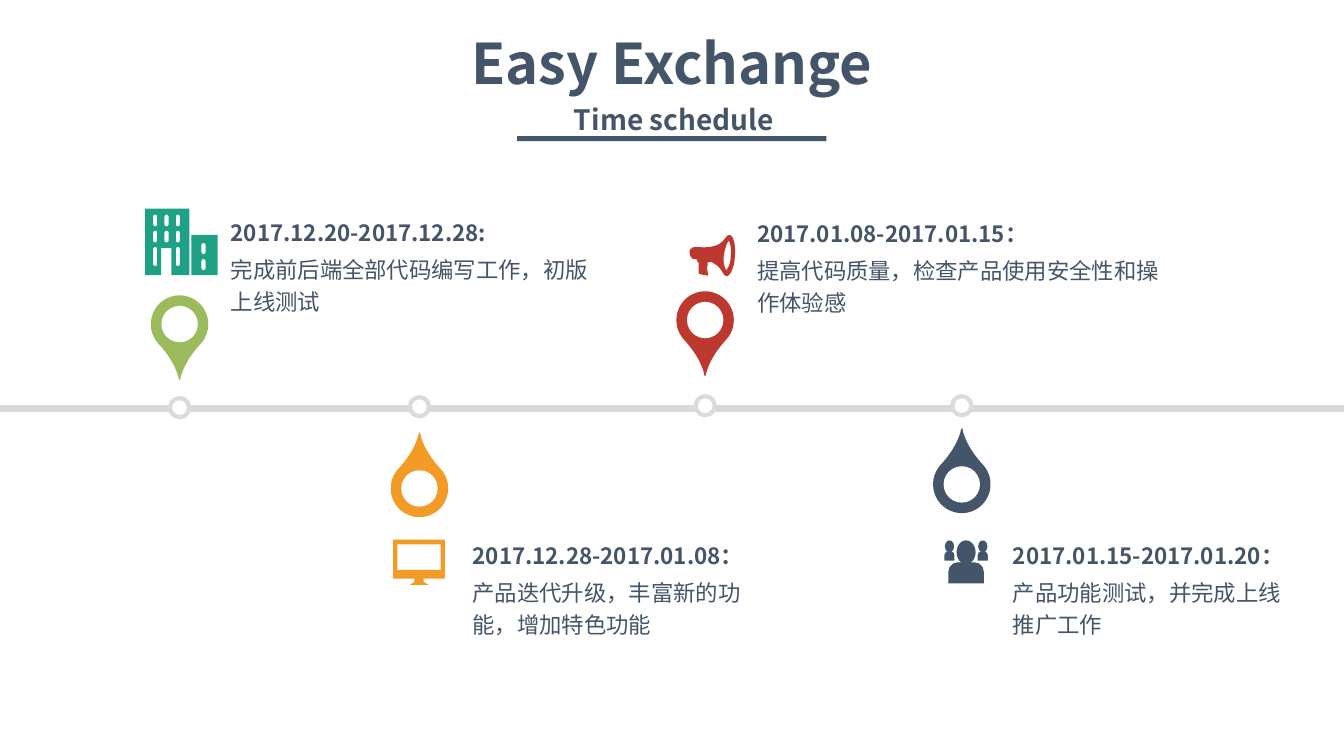
from dataclasses import dataclass
from itertools import product
from math import cos, pi, sin

from lxml.etree import SubElement
from pptx import Presentation
from pptx.dml.color import RGBColor
from pptx.enum.shapes import MSO_SHAPE as Kind
from pptx.enum.text import MSO_ANCHOR as Anchor
from pptx.enum.text import MSO_AUTO_SIZE as Fit
from pptx.enum.text import PP_ALIGN as Align
from pptx.oxml.ns import qn
from pptx.util import Pt


@dataclass(frozen=True)
class Theme:
    font: str = "Noto Sans CJK SC"
    ink: str = "445469"
    white: str = "FFFFFF"
    rail: str = "D9D9D9"
    ring: str = "DBDBDB"
    lime: str = "9BBB5C"
    teal: str = "1EA185"
    gold: str = "F29B26"
    red: str = "BD392F"
    title: float = 40
    sub: float = 20
    body: float = 16


T = Theme()

STOPS = [
    (128.3, 291.2, 211, False, T.lime, (155.5, 147.6, 280.8),
     "2017.12.20-2017.12.28:", "完成前后端全部代码编写工作，初版上线测试"),
    (299.6, 290.5, 308.9, True, T.gold, (328.3, 378.7, 225.4),
     "2017.12.28-2017.01.08：", "产品迭代升级，丰富新的功能，增加特色功能"),
    (503.7, 289.8, 208.1, False, T.red, (531.4, 148.3, 310.3),
     "2017.01.08-2017.01.15：", "提高代码质量，检查产品使用安全性和操作体验感"),
    (687, 289.8, 306, True, T.ink, (714.2, 378.7, 224.6),
     "2017.01.15-2017.01.20：", "产品功能测试，并完成上线推广工作"),
]

HORN = [
    (32.4, 15.1), (33.1, 7.9, 31.7, 0.7, 28.8, 0),
    (23.8, 0, 26.6, 10.8, 4.3, 8.6), (2.2, 8.6, 0, 10.1, 0, 12.2),
    (0, 14.4, 1.4, 17.3, 3.6, 17.3), (5, 17.3),
    (5.8, 20.2, 7.2, 19.4, 6.5, 20.9), (6.5, 22.3, 6.5, 25.2, 6.5, 25.9),
    (6.5, 26.6, 6.5, 28.1, 7.9, 28.1), (7.9, 28.1, 10.8, 28.8, 12.2, 28.8),
    (13, 29.5, 13.7, 28.8, 13, 27.4), (13.7, 27.4, 12.2, 25.9, 13, 25.2),
    (12.2, 24.5, 13, 21.6, 13, 20.9), (12.2, 19.4, 14.4, 19.4, 15.8, 19.4),
    (24.5, 23.8, 23, 28.8, 26.6, 29.5), (28.8, 29.5, 32.4, 23, 32.4, 15.1),
]
MOUTH = [
    (26.6, 25.2), (25.9, 25.2, 23.8, 20.9, 24.5, 15.1),
    (25.2, 9.4, 27.4, 4.3, 28.1, 4.3), (28.8, 5, 30.2, 9.4, 29.5, 15.1),
    (29.5, 21.6, 26.6, 24.5, 26.6, 25.2),
]


def paint(shape, fill, line=None, width=0):
    shape.shadow.inherit = False
    shape.fill.solid()
    shape.fill.fore_color.rgb = RGBColor.from_string(fill)
    if line:
        shape.line.color.rgb = RGBColor.from_string(line)
        shape.line.width = Pt(width)
    else:
        shape.line.fill.background()
    return shape


def block(shapes, kind, box, fill, line=None, width=0):
    return paint(shapes.add_shape(kind, *map(Pt, box)), fill, line, width)


def disc(shapes, x, y, r, fill, line=None, width=0):
    return block(shapes, Kind.OVAL, (x - r, y - r, 2 * r, 2 * r), fill, line, width)


def arc(x, y, r, start, end, steps=16):
    turns = [start + (end - start) * i / steps for i in range(steps + 1)]
    return [(x + r * cos(a), y + r * sin(a)) for a in turns]


def trace(start, *parts, steps=10):
    dots = [start]
    for part in parts:
        if len(part) == 2:
            dots.append(part)
            continue
        x, y = dots[-1]
        a, b, c, d, e, f = part
        for i in range(1, steps + 1):
            t = i / steps
            u = 1 - t
            k = (u ** 3, 3 * u * u * t, 3 * u * t * t, t ** 3)
            dots.append((sum(m * n for m, n in zip(k, (x, a, c, e))),
                         sum(m * n for m, n in zip(k, (y, b, d, f)))))
    return dots


def frame(x, y, w, h):
    return [(x, y), (x + w, y), (x + w, y + h), (x, y + h)]


def pill(x, y, h, r=1.45):
    return arc(x, y + r, r, pi, 2 * pi) + arc(x, y + h - r, r, 0, pi)


def outline(shapes, x, y, rings, fill):
    rings = [[(Pt(x + a), Pt(y + b)) for a, b in ring] for ring in rings]
    pen = shapes.build_freeform(*rings[0][0], scale=1.0)
    for i, ring in enumerate(rings):
        if i:
            pen.move_to(*ring[0])
        pen.add_line_segments(ring[1:], close=True)
    return paint(pen.convert_to_shape(), fill)


def pin(shapes, x, y, up, fill):
    r, tall = 20.5, 60.5
    side = trace((14.7, 35), (14.7, 35, 2.9, 47, 0.3, tall))
    left = [(-a, b) for a, b in reversed(side)]
    group = shapes.add_group_shape().shapes
    drop = outline(group, x, y, [arc(0, r, r, -pi, 0, 32)
                   + trace((r, r), (r, 26.2, 18.4, 31, 14.7, 35)) + side + left
                   + trace((-14.7, 35), (-18.4, 31, -r, 26.2, -r, r))], fill)
    drop.rotation = 180 if up else 0
    disc(group, x, y + (tall - r if up else r), 13, T.white)


def write(para, text, size, bold=True):
    run = para.add_run()
    run.text = text
    font = run.font
    font.name, font.size, font.bold = T.font, Pt(size), bold
    font.color.rgb = RGBColor.from_string(T.ink)
    SubElement(run._r.get_or_add_rPr(), qn("a:ea")).set("typeface", T.font)


def setup(shape, box, wide, high):
    shape.left, shape.top, shape.width, shape.height = map(Pt, box)
    text = shape.text_frame
    text.word_wrap = True
    text.vertical_anchor = Anchor.TOP
    text.margin_left = text.margin_right = Pt(wide)
    text.margin_top = text.margin_bottom = Pt(high)
    return text


def label(shapes, box, lines, wide, high, align=Align.LEFT):
    text = setup(shapes.add_textbox(0, 0, 0, 0), box, wide, high)
    for i, (words, size, bold) in enumerate(lines):
        para = text.add_paragraph() if i else text.paragraphs[0]
        para.alignment, para.line_spacing = align, 1.2
        if i:
            para.space_before = Pt(0.2 * size)
        write(para, words, size, bold)


def head(slide):
    text = setup(slide.shapes.title, (67.7, 18.7, 824.4, 51.8), 3.6, 1.44)
    text.auto_size = Fit.SHAPE_TO_FIT_TEXT
    para = text.paragraphs[0]
    para.alignment, para.line_spacing = Align.CENTER, 1.0
    write(para, "Easy Exchange", T.title)
    block(slide.shapes, Kind.RECTANGLE, (369.4, 97.2, 221, 3.6), T.ink)
    label(slide.shapes, (92.9, 64.1, 776.9, 33.1),
          [("Time schedule", T.sub, True)], 8.64, 4.32, Align.CENTER)


def towers(shapes):
    group = shapes.add_group_shape().shapes
    cols = [7.2 + 8.1 * i for i in range(3)]
    wall = [(0, 0), (31.7, 0), (31.7, 47.6), (18.7, 47.6),
            (18.7, 28.1), (11.5, 28.1), (11.5, 47.6), (0, 47.6)]
    panes = [pill(x, y, 8.4) for x, y in product(cols, (4.3, 15.8))]
    tall = [pill(x, 27.4, 13.7) for x in cols[::2]]
    outline(group, 103.7, 149, [wall] + panes + tall, T.teal)
    panes = [pill(8.6, y, 7.9) for y in (5.8, 17.3)]
    outline(group, 136.8, 167.8, [frame(0, 0, 18.7, 28.8)] + panes, T.teal)


def screen(shapes):
    case = [(0, 0), (37, 0), (37, 28), (21.8, 28), (21.8, 30.2), (25.5, 32.4),
            (12, 32.4), (15.2, 30.2), (15.2, 28), (0, 28)]
    outline(shapes, 280.8, 385.4, [case, frame(3.1, 3.4, 30.8, 18.2)], T.gold)


def team(shapes):
    group = shapes.add_group_shape().shapes
    top = 386
    for x, face, high, wide, neck, tall in (
            (678.2, 6.6, 8.6, 7.2, 7.8, 6.6),
            (690.1, 13.6, 17, 25.4, 15.6, 15.1),
            (702, 6.6, 8.6, 7.2, 7.8, 6.6)):
        block(group, Kind.OVAL, (x - face / 2, top, face, high), T.ink)
        body = block(group, Kind.ROUND_2_SAME_RECTANGLE,
                     (x - wide / 2, top + neck, wide, tall), T.ink)
        body.adjustments[0] = 0.45


def main():
    deck = Presentation()
    deck.slide_width, deck.slide_height = Pt(960), Pt(540)
    slide = deck.slides.add_slide(deck.slide_layouts[5])
    shapes = slide.shapes
    block(shapes, Kind.RECTANGLE, (0, 289.4, 960, 4.3), T.rail, T.rail, 0.5)
    for x, y, top, up, fill, (left, high, wide), date, task in STOPS:
        disc(shapes, x, y, 6.85, T.white, T.ring, 3)
        label(shapes, (left, high, wide, 119.5),
              [(date, T.body, True), (task, T.body, False)], 9.36, 5.04)
        pin(shapes, x, top, up, fill)
    towers(shapes)
    screen(shapes)
    outline(shapes, 492.5, 167.8, [trace(*HORN), trace(*MOUTH)], T.red)
    team(shapes)
    head(slide)
    deck.save("out.pptx")


if __name__ == "__main__":
    main()
